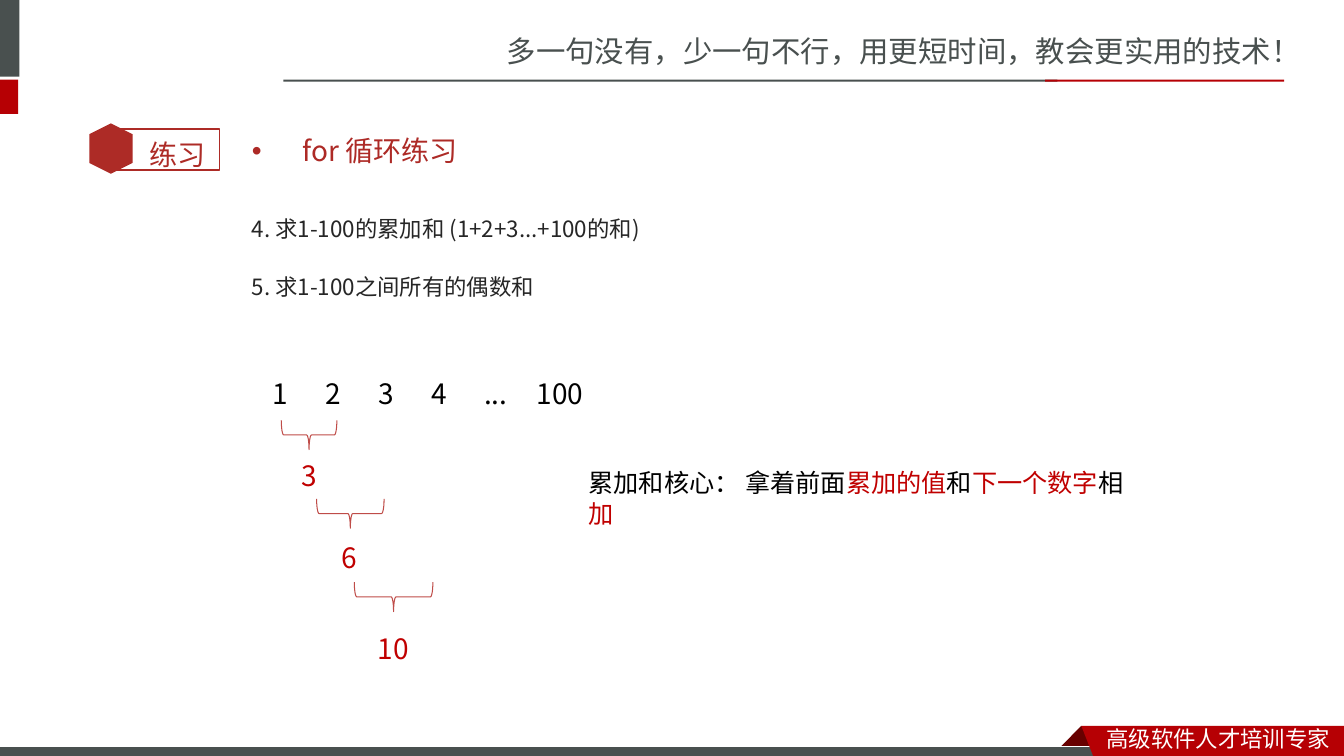
from dataclasses import dataclass

from lxml.etree import SubElement
from pptx import Presentation
from pptx.dml.color import RGBColor
from pptx.enum.shapes import MSO_SHAPE as Preset
from pptx.enum.text import MSO_ANCHOR as Anchor
from pptx.oxml.ns import qn
from pptx.util import Cm, Pt


@dataclass(frozen=True)
class Theme:
    slate: str = "49504F"
    red: str = "B60004"
    fold: str = "680000"
    tag: str = "AD2B26"
    title: str = "AD2A26"
    brace: str = "BF4C48"
    accent: str = "C00000"
    body: str = "262626"
    black: str = "000000"
    white: str = "FFFFFF"
    motto_size: int = 21
    large: int = 20
    medium: int = 18
    small: int = 16
    hairline: float = 0.75
    frame_line: float = 1
    master_font: str = "Noto Sans CJK SC"
    body_font: str = "Noto Sans CJK JP"
    tag_font: str = "Lato"


THEME = Theme()


def paint(shape, fill=None, line=None, line_width=THEME.hairline):
    shape.shadow.inherit = False
    if fill:
        shape.fill.solid()
        shape.fill.fore_color.rgb = RGBColor.from_string(fill)
    else:
        shape.fill.background()
    if line:
        shape.line.color.rgb = RGBColor.from_string(line)
        shape.line.width = Pt(line_width)
    else:
        shape.line.fill.background()


def add_preset(shapes, preset, place, rotation=0, **colours):
    shape = shapes.add_shape(preset, *map(Cm, place))
    shape.rotation = rotation
    paint(shape, **colours)


def add_polygon(shapes, corners, fill):
    points = [(Cm(x), Cm(y)) for x, y in corners]
    builder = shapes.build_freeform(*points[0], scale=1.0)
    builder.add_line_segments(points[1:], close=True)
    paint(builder.convert_to_shape(), fill=fill)


def add_run(paragraph, text, size, colour, font):
    run = paragraph.add_run()
    run.text = text
    run.font.size = Pt(size)
    run.font.color.rgb = RGBColor.from_string(colour)
    run.font.name = font
    SubElement(run._r.get_or_add_rPr(), qn("a:ea")).set("typeface", font)


def add_text(shapes, place, paragraphs, size, font=THEME.body_font, wrap=True,
             anchor=Anchor.TOP, spacing=None, before=0):
    """Add a text box; each paragraph is a list of (text, colour) runs."""
    frame = shapes.add_textbox(*map(Cm, place)).text_frame
    frame.word_wrap = wrap
    frame.vertical_anchor = anchor
    for index, runs in enumerate(paragraphs):
        paragraph = frame.add_paragraph() if index else frame.paragraphs[0]
        paragraph.line_spacing = spacing
        paragraph.space_before = Pt(before)
        for text, colour in runs:
            add_run(paragraph, text, size, colour, font)
    return frame


def add_number(shapes, left, top, width, text, colour):
    add_text(shapes, (left, top, width, 1.12), [[(text, colour)]],
             THEME.large, wrap=False)


def add_bullet(paragraph, indent):
    properties = paragraph._p.get_or_add_pPr()
    properties.set("marL", str(Cm(indent)))
    properties.set("indent", str(-Cm(indent)))
    SubElement(properties, qn("a:buFont")).set("typeface", "Arial")
    SubElement(properties, qn("a:buChar")).set("char", "•")


def add_brace(shapes, centre_x, centre_y, span, depth=0.74):
    """Add a brace that lies flat and points down."""
    place = (centre_x - depth / 2, centre_y - span / 2, depth, span)
    add_preset(shapes, Preset.LEFT_BRACE, place, 270, line=THEME.brace)


def add_header(shapes):
    add_text(shapes, (12.52, 0.71, 21.36, 1.19),
             [[("多一句没有，少一句不行，用更短时间，教会更实用的技术！", THEME.slate)]],
             THEME.motto_size, THEME.master_font)
    for place, colour in (
        ((-0.15, 0, 0.64, 1.93), THEME.slate),
        ((-0.15, 2.01, 0.61, 0.86), THEME.red),
        ((7.14, 2.01, 19.51, 0.05), THEME.slate),
        ((26.34, 2.01, 6.02, 0.05), THEME.red),
    ):
        add_preset(shapes, Preset.RECTANGLE, place, fill=colour)


def add_footer(shapes):
    add_polygon(shapes, [(27.25, 18.29), (27.81, 18.85), (27.79, 18.87),
                         (26.72, 18.87), (26.7, 18.85)], THEME.fold)
    add_preset(shapes, Preset.RECTANGLE, (-0.03, 18.82, 27.94, 0.3),
               fill=THEME.slate, line=THEME.white)
    add_polygon(shapes, [(27.25, 18.29), (33.87, 18.29), (33.87, 19.15),
                         (27.58, 19.13)], THEME.red)
    add_text(shapes, (27.64, 18.16, 6.22, 0.94),
             [[("高级软件人才培训专家", THEME.white)]],
             THEME.small, THEME.master_font)


def add_exercise_tag(shapes):
    add_preset(shapes, Preset.RECTANGLE, (2.77, 3.25, 2.77, 1.04),
               line=THEME.tag, line_width=THEME.frame_line)
    add_preset(shapes, Preset.HEXAGON, (2.16, 3.2, 1.27, 1.09), 90,
               fill=THEME.tag)
    add_text(shapes, (3.51, 2.92, 2.16, 1.42), [[("练习", THEME.tag)]],
             THEME.large, THEME.tag_font, spacing=1.5)


def add_exercises(shapes):
    title = add_text(shapes, (6.1, 3.07, 25.6, 1.45),
                     [[("for 循环练习", THEME.title)]], THEME.large,
                     anchor=Anchor.MIDDLE, before=4)
    add_bullet(title.paragraphs[0], 1.27)
    exercises = ("4. 求1-100的累加和 (1+2+3...+100的和)",
                 "5. 求1-100之间所有的偶数和")
    add_text(shapes, (6.1, 4.62, 25.6, 12.65),
             [[(exercise, THEME.body)] for exercise in exercises],
             THEME.small, spacing=2.0, before=3.2)


def add_running_sum(shapes):
    for centre_x, centre_y, span in ((7.79, 10.96, 1.4), (8.83, 12.94, 1.7),
                                     (9.92, 15.04, 1.98)):
        add_brace(shapes, centre_x, centre_y, span)
    for left, top, width, total in ((7.34, 11.43, 0.91, "3"),
                                    (8.36, 13.49, 0.91, "6"),
                                    (9.27, 15.8, 1.32, "10")):
        add_number(shapes, left, top, width, total, THEME.accent)

    terms = shapes.add_group_shape().shapes
    widths = {"...": 1.14, "100": 1.75}
    for index, term in enumerate(("1", "2", "3", "4", "...", "100")):
        add_number(terms, 6.63 + 1.33 * index, 9.37, widths.get(term, 0.91),
                   term, THEME.black)


def add_key_idea(shapes):
    add_text(shapes, (14.58, 11.66, 14.58, 1.02), [[
        ("累加和核心： 拿着前面", THEME.black),
        ("累加的值", THEME.accent),
        ("和", THEME.black),
        ("下一个数字", THEME.accent),
        ("相", THEME.black),
        ("加", THEME.accent),
    ]], THEME.medium)


def main():
    deck = Presentation()
    deck.slide_width, deck.slide_height = Cm(33.87), Cm(19.05)
    shapes = deck.slides.add_slide(deck.slide_layouts[6]).shapes
    add_header(shapes)
    add_footer(shapes)
    add_exercise_tag(shapes)
    add_exercises(shapes)
    add_running_sum(shapes)
    add_key_idea(shapes)
    deck.save("out.pptx")


if __name__ == "__main__":
    main()
